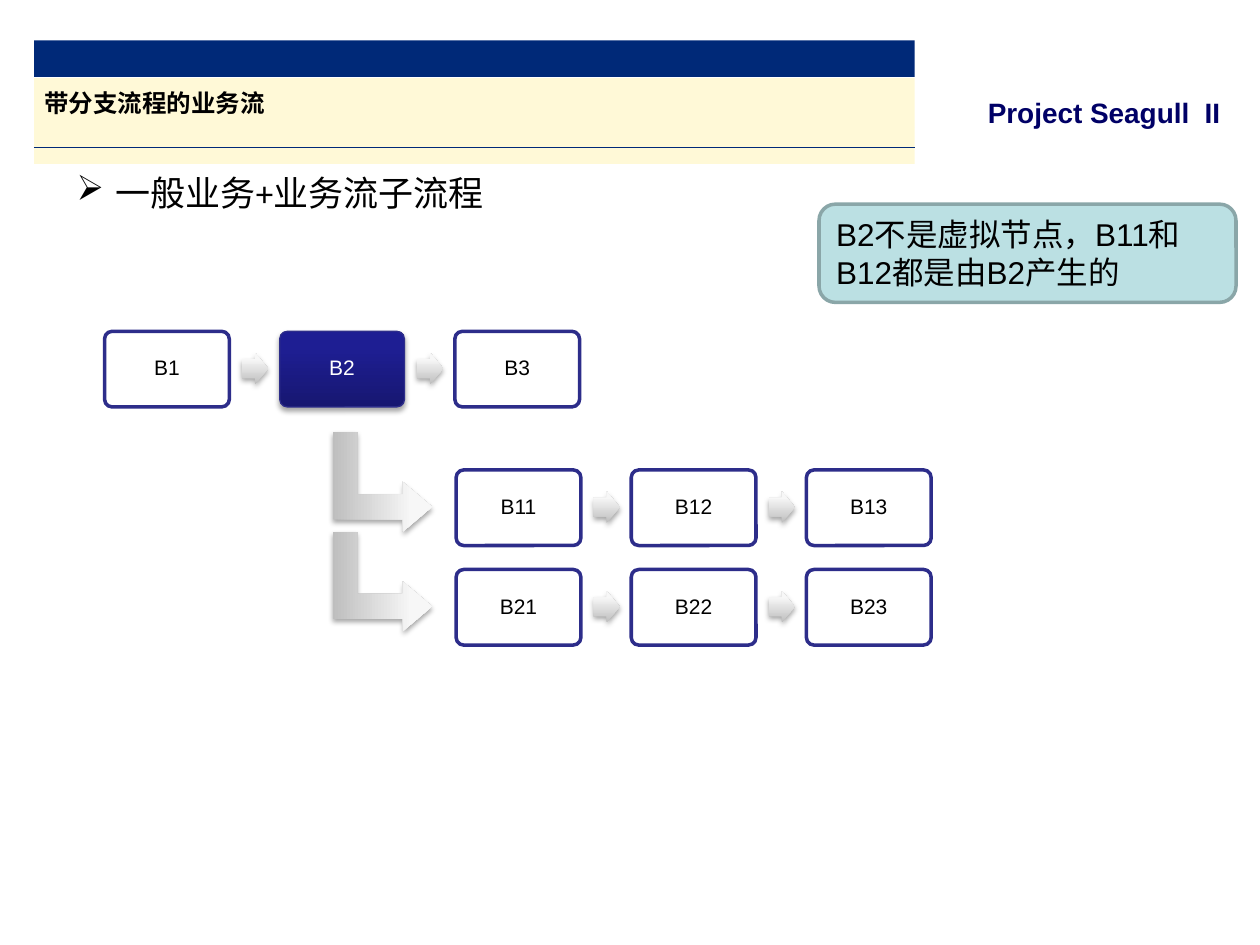
from dataclasses import dataclass

from lxml import etree
from pptx import Presentation
from pptx.dml.color import RGBColor
from pptx.enum.shapes import MSO_CONNECTOR, MSO_SHAPE
from pptx.enum.text import MSO_ANCHOR, MSO_AUTO_SIZE, PP_ALIGN
from pptx.oxml.ns import qn
from pptx.util import Inches, Pt

RECT, ROUND = MSO_SHAPE.RECTANGLE, MSO_SHAPE.ROUNDED_RECTANGLE
RIGHT, BENT = MSO_SHAPE.RIGHT_ARROW, MSO_SHAPE.BENT_UP_ARROW
STRAIGHT = MSO_CONNECTOR.STRAIGHT
TOP, MIDDLE = MSO_ANCHOR.TOP, MSO_ANCHOR.MIDDLE
LEFT, CENTER = PP_ALIGN.LEFT, PP_ALIGN.CENTER
FIXED = MSO_AUTO_SIZE.NONE


@dataclass
class Theme:
    """Colours, fonts and type sizes of the slide."""
    navy: str = "002978"
    cream: str = "FFF9D7"
    brand: str = "000066"
    edge: str = "2D2D8A"
    black: str = "000000"
    white: str = "FFFFFF"
    note: str = "BBE0E3"
    rim: str = "8AA6A8"
    grey: tuple = ("BEBEBE", "F7F7F7")
    blue: tuple = ("171771", "1E1E93")
    latin: str = "Arial"
    body: str = "Calibri"
    asian: str = "Noto Sans CJK SC"
    label: int = 12
    title: int = 14
    head: int = 16
    large: int = 18
    lead: int = 20


THEME = Theme()


def write(frame, text, size, color=THEME.black, font=THEME.latin, bold=False,
          align=LEFT, anchor=TOP, inset=(0.1, 0.05, 0.1, 0.05), wrap=True, space=1.0):
    """Put one formatted paragraph into a text frame and return it."""
    frame.auto_size = FIXED
    frame.word_wrap = wrap
    frame.vertical_anchor = anchor
    (frame.margin_left, frame.margin_top,
     frame.margin_right, frame.margin_bottom) = map(Inches, inset)
    para = frame.paragraphs[0]
    para.alignment, para.line_spacing = align, space
    run = para.add_run()
    run.text = text
    run.font.name, run.font.size, run.font.bold = font, Pt(size), bold
    run.font.color.rgb = RGBColor.from_string(color)
    asian = etree.SubElement(run.font._element, qn("a:ea"))
    asian.set("typeface", THEME.asian)
    return para


class Deck:
    """Holds the theme and the current slide and draws elements on it."""

    def __init__(self, theme):
        self.theme = theme
        self.file = Presentation()
        self.file.slide_width, self.file.slide_height = Inches(10), Inches(7.5)
        self.slide = self.file.slides.add_slide(self.file.slide_layouts[5])

    def title(self, text, box):
        """Place and format the title placeholder."""
        shape = self.slide.shapes.title
        shape.left, shape.top, shape.width, shape.height = map(Inches, box)
        shape.fill.solid()
        shape.fill.fore_color.rgb = RGBColor.from_string(self.theme.cream)
        write(shape.text_frame, text, self.theme.title, font=self.theme.asian,
              bold=True, anchor=MIDDLE, inset=(0.08, 0, 0, 0), wrap=False)

    def text(self, text, box, size, **style):
        """Add a text box and return its paragraph."""
        shape = self.slide.shapes.add_textbox(*map(Inches, box))
        return write(shape.text_frame, text, size, **style)

    def bullet(self, text, box):
        """Add a text box with an arrow bullet."""
        para = self.text(text, box, self.theme.lead, font=self.theme.body)
        props = para._p.get_or_add_pPr()
        props.set("marL", str(Inches(0.31)))
        props.set("indent", str(Inches(-0.31)))
        etree.SubElement(props, qn("a:buChar")).set("char", "➢")

    def shape(self, kind, box, fill, line=None, width=2, adjust=(), shade=False):
        """Add a preset shape with a solid or two-colour fill."""
        shape = self.slide.shapes.add_shape(kind, *map(Inches, box))
        for spot, value in enumerate(adjust):
            shape.adjustments[spot] = value
        if isinstance(fill, tuple):
            shape.fill.gradient()
            shape.fill.gradient_angle = 90
            for stop, color, place in zip(shape.fill.gradient_stops, fill, (0, 0.8)):
                stop.color.rgb = RGBColor.from_string(color)
                stop.position = place
        else:
            shape.fill.solid()
            shape.fill.fore_color.rgb = RGBColor.from_string(fill)
        if line:
            shape.line.color.rgb = RGBColor.from_string(line)
            shape.line.width = Pt(width)
        else:
            shape.line.fill.background()
        shape.shadow.inherit = False
        if shade:
            self.shade(shape)
        return shape

    def shade(self, shape):
        """Give a shape a soft shadow below it."""
        effect = shape._element.spPr.find(qn("a:effectLst"))
        outer = etree.SubElement(effect, qn("a:outerShdw"), blurRad=str(Pt(3.1)),
                                 dist=str(Pt(1.8)), dir="5400000", rotWithShape="0")
        color = etree.SubElement(outer, qn("a:srgbClr"), val=self.theme.black)
        etree.SubElement(color, qn("a:alpha"), val="35000")

    def rule(self, left, right, top):
        """Add a thin horizontal line."""
        line = self.slide.shapes.add_connector(
            STRAIGHT, Inches(left), Inches(top), Inches(right), Inches(top))
        line.line.color.rgb = RGBColor.from_string(self.theme.navy)
        line.line.width = Pt(0.25)
        etree.SubElement(line._element.spPr, qn("a:effectLst"))

    def arrow(self, kind, box, adjust, turn=0):
        """Add a grey block arrow."""
        shape = self.shape(kind, box, self.theme.grey, adjust=adjust, shade=True)
        shape.rotation = turn

    def node(self, text, left, top, active):
        """Add one step box, filled when it is active."""
        look = self.theme
        fill = look.blue if active else look.white
        shape = self.shape(ROUND, (left, top, 0.99, 0.6), fill, look.edge,
                           0.75 if active else 2, (0.1,), active)
        write(shape.text_frame, text, look.label, look.white if active else look.black,
              align=CENTER, anchor=MIDDLE, inset=(0.05,) * 4, space=0.9)

    def flow(self, names, left, top, active=None):
        """Add a row of step boxes joined by arrows."""
        for spot, name in enumerate(names):
            x = left + spot * 1.39
            if spot:
                self.arrow(RIGHT, (x - 0.3, top + 0.17, 0.21, 0.25), (0.6, 0.5))
            self.node(name, x, top, name == active)

    def branch(self, names, top):
        """Add a bent arrow and the row it leads to."""
        self.arrow(BENT, (2.64, top - 0.3, 0.79, 0.79), (0.25, 0.25, 0.295), 90)
        self.flow(names, 3.62, top)

    def callout(self, text, box):
        """Add a rounded note."""
        shape = self.shape(ROUND, box, self.theme.note, self.theme.rim)
        write(shape.text_frame, text, self.theme.large)


def main():
    """Build the slide and save it."""
    deck = Deck(THEME)
    deck.text("Project Seagull  II", (7.84, 0.76, 1.97, 0.31), THEME.head,
              color=THEME.brand, bold=True, inset=(0,) * 4, wrap=False)
    deck.shape(RECT, (0.27, 0.32, 6.99, 0.29), THEME.navy)
    deck.title("带分支流程的业务流", (0.27, 0.62, 6.99, 0.39))
    deck.shape(RECT, (0.27, 1.01, 6.99, 0.29), THEME.cream)
    deck.rule(0.27, 7.26, 1.17)
    deck.bullet("一般业务+业务流子流程", (0.51, 1.31, 7.72, 0.44))
    deck.callout("B2不是虚拟节点，B11和B12都是由B2产生的", (6.5, 1.62, 3.31, 0.78))
    deck.flow(("B1", "B2", "B3"), 0.83, 2.63, active="B2")
    deck.branch(("B11", "B12", "B13"), 3.73)
    deck.branch(("B21", "B22", "B23"), 4.52)
    deck.file.save("out.pptx")


if __name__ == "__main__":
    main()
